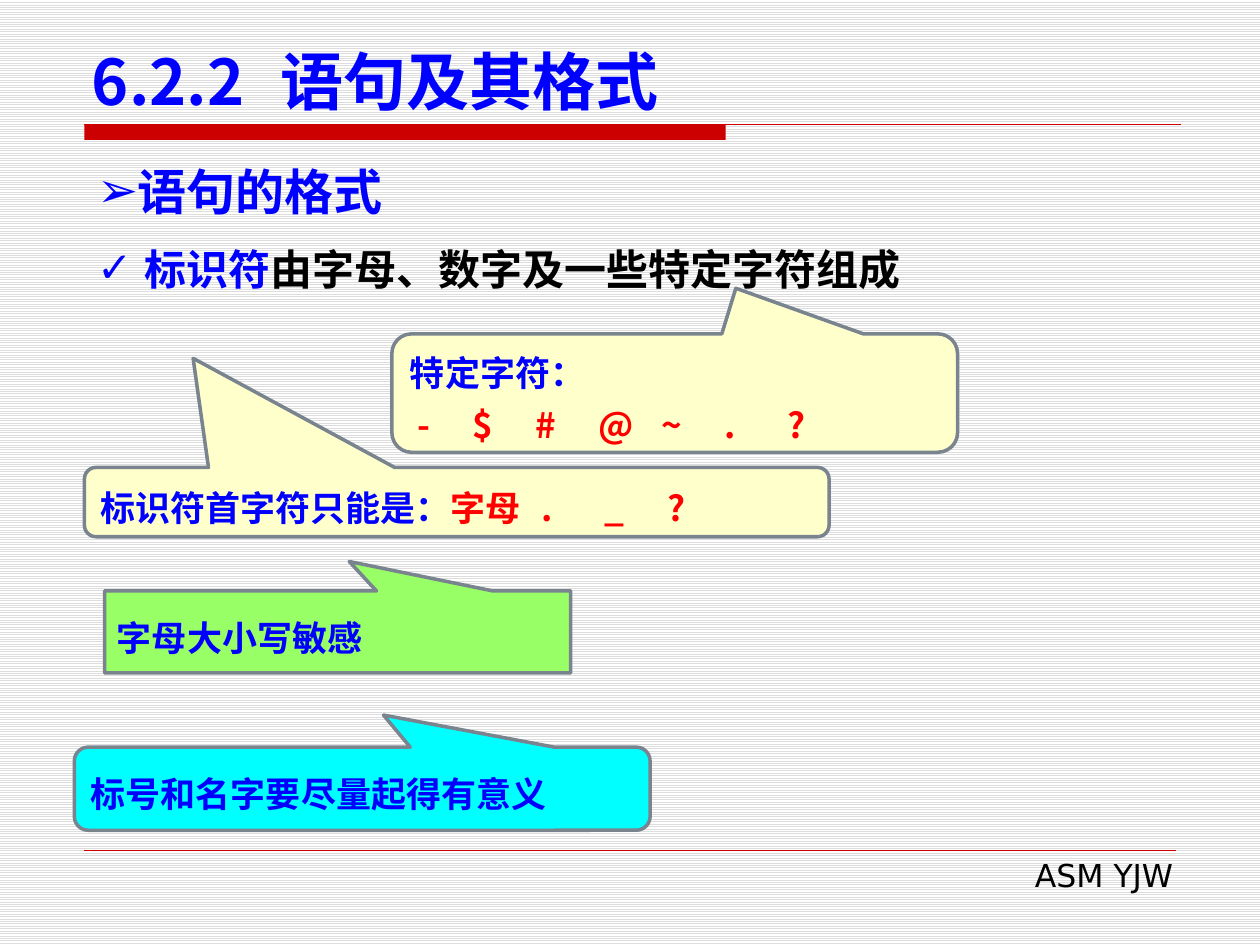
from dataclasses import dataclass

from lxml.etree import SubElement
from pptx import Presentation
from pptx.dml.color import RGBColor
from pptx.enum.dml import MSO_PATTERN
from pptx.enum.shapes import MSO_CONNECTOR, MSO_SHAPE
from pptx.enum.text import MSO_ANCHOR, MSO_AUTO_SIZE, PP_ALIGN
from pptx.oxml.ns import qn
from pptx.util import Inches, Pt

COLORS = {
    "blue": "0000FF", "red": "FF0000", "black": "000000", "rule": "CC0000",
    "stripe": "DDDDDD", "white": "FFFFFF", "outline": "79848F",
    "cream": "FFFFCC", "green": "99FF66", "cyan": "00FFFF",
}
SANS = "DejaVu Sans"
CJK = "Noto Sans CJK SC"


@dataclass
class Line:
    runs: list[tuple[str, str]]  # text and colour name
    size: float
    font: str = CJK
    bold: bool = True
    spacing: float | None = None  # exact line height in points
    align: PP_ALIGN = PP_ALIGN.LEFT
    bullet: str = ""
    indent: float = 0
    tabs: tuple[float, ...] = ()


@dataclass
class Callout:
    kind: MSO_SHAPE
    box: tuple[float, float, float, float]
    tip: tuple[float, float]
    fill: str
    lines: list[Line]


def color(name: str) -> RGBColor:
    return RGBColor.from_string(COLORS[name])


def place(shape, box: tuple[float, float, float, float]) -> None:
    shape.left, shape.top, shape.width, shape.height = map(Inches, box)


def write(shape, lines: list[Line], anchor: MSO_ANCHOR) -> None:
    frame = shape.text_frame
    frame.word_wrap = True
    frame.auto_size = MSO_AUTO_SIZE.NONE
    frame.vertical_anchor = anchor
    for index, line in enumerate(lines):
        paragraph = frame.add_paragraph() if index else frame.paragraphs[0]
        paragraph.alignment = line.align
        paragraph.space_before = Pt(0)
        if line.spacing:
            paragraph.line_spacing = Pt(line.spacing)
        properties = paragraph._p.get_or_add_pPr()
        properties.set("marL", str(Inches(line.indent)))
        properties.set("indent", str(Inches(-line.indent)))
        if line.bullet:
            SubElement(properties, qn("a:buChar"), char=line.bullet)
        else:
            SubElement(properties, qn("a:buNone"))
        if line.tabs:
            tab_list = SubElement(properties, qn("a:tabLst"))
            for position in line.tabs:
                SubElement(tab_list, qn("a:tab"), pos=str(Inches(position)), algn="l")
        paragraph.font.size = Pt(line.size)
        paragraph.font.bold = line.bold
        paragraph.font.name = line.font
        for text, color_name in line.runs:
            run = paragraph.add_run()
            run.text = text
            run.font.color.rgb = color(color_name)


def add_rule(slide, y: float, right: float, width: float) -> None:
    rule = slide.shapes.add_connector(
        MSO_CONNECTOR.STRAIGHT, Inches(0.67), Inches(y), Inches(right), Inches(y))
    rule.line.color.rgb = color("rule")
    rule.line.width = Pt(width)
    SubElement(rule._element.spPr, qn("a:effectLst"))


def add_callout(slide, callout: Callout) -> None:
    shape = slide.shapes.add_shape(callout.kind, *map(Inches, callout.box))
    shape.adjustments[0], shape.adjustments[1] = callout.tip
    shape.shadow.inherit = False
    shape.fill.solid()
    shape.fill.fore_color.rgb = color(callout.fill)
    shape.line.color.rgb = color("outline")
    shape.line.width = Pt(2)
    write(shape, callout.lines, MSO_ANCHOR.MIDDLE)


def note(*runs: tuple[str, str], font: str = CJK, tabs: tuple[float, ...] = ()) -> Line:
    return Line(list(runs), 20, font, spacing=30, tabs=tabs)


ROUND = MSO_SHAPE.ROUNDED_RECTANGULAR_CALLOUT
CALLOUTS = [
    Callout(MSO_SHAPE.RECTANGULAR_CALLOUT, (0.83, 4.69, 3.7, 0.65), (0.025, -0.86),
            "green", [note(("字母大小写敏感", "blue"), font=SANS)]),
    Callout(ROUND, (0.59, 5.93, 4.57, 0.66), (0.037, -0.886),
            "cyan", [note(("标号和名字要尽量起得有意义", "blue"), font=SANS)]),
    Callout(ROUND, (3.11, 2.65, 4.49, 0.94), (0.108, -0.885), "cream", [
        note(("特定字符：", "blue")),
        note((" ", "blue"), ("-\t$\t#\t@\t~\t.\t?", "red"),
             tabs=(0.36, 0.71, 1.06, 1.53, 1.91, 2.17))]),
    Callout(ROUND, (0.67, 3.71, 5.91, 0.55), (-0.354, -2.075), "cream", [
        note(("标识符首字符只能是：", "blue"), ("字母\t.\t_\t?", "red"),
             tabs=(3.54, 3.89, 4.29))]),
]


def main() -> None:
    presentation = Presentation()
    presentation.slide_width, presentation.slide_height = Inches(10), Inches(7.5)
    slide = presentation.slides.add_slide(presentation.slide_layouts[3])

    # Striped background
    background = slide.background.fill
    background.patterned()
    background.pattern = MSO_PATTERN.LIGHT_HORIZONTAL
    background.fore_color.rgb = color("stripe")
    background.back_color.rgb = color("white")

    # Title and the two bulleted lines
    title, heading, definition = slide.placeholders
    place(title, (0.63, 0.33, 8.75, 0.66))
    write(title, [Line([("6.2.2\t语句及其格式", "blue")], 36, tabs=(1.56,))],
          MSO_ANCHOR.BOTTOM)
    place(heading, (0.67, 1.23, 8.66, 0.57))
    write(heading, [Line([("语句的格式", "blue")], 28, SANS, bullet="➢")],
          MSO_ANCHOR.MIDDLE)
    place(definition, (0.67, 1.78, 8.58, 0.54))
    write(definition, [Line(
        [("标识符", "blue"), ("由字母、数字及一些特定字符组成", "black")],
        24, spacing=36, bullet="✓", indent=0.38)], MSO_ANCHOR.TOP)

    # Red rules under the title and above the footer
    bar = slide.shapes.add_shape(
        MSO_SHAPE.RECTANGLE, *map(Inches, (0.67, 0.99, 5.09, 0.12)))
    bar.shadow.inherit = False
    bar.fill.solid()
    bar.fill.fore_color.rgb = color("rule")
    bar.line.fill.background()
    add_rule(slide, 0.99, 9.37, 0.75)
    add_rule(slide, 6.75, 9.33, 0.25)

    # Footer
    footer = slide.shapes.add_textbox(*map(Inches, (3.82, 6.74, 5.59, 0.4)))
    write(footer, [Line([("ASM YJW", "black")], 18, SANS, bold=False,
                        align=PP_ALIGN.RIGHT)], MSO_ANCHOR.MIDDLE)

    # Callouts
    for callout in CALLOUTS:
        add_callout(slide, callout)

    presentation.save("out.pptx")


if __name__ == "__main__":
    main()
